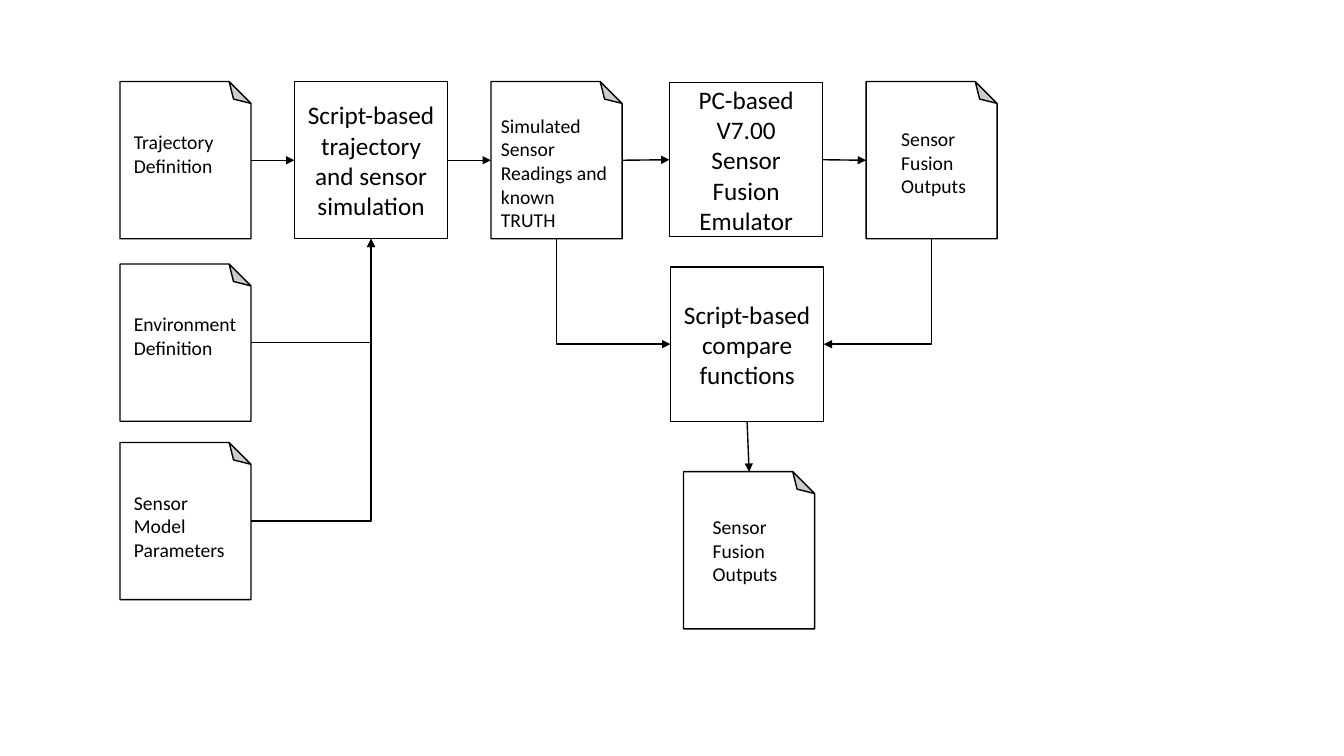
from lxml.etree import SubElement
from pptx import Presentation
from pptx.dml.color import RGBColor
from pptx.enum.shapes import MSO_CONNECTOR as Connector, MSO_SHAPE as Preset
from pptx.enum.text import MSO_ANCHOR as Anchor, MSO_AUTO_SIZE as AutoSize, PP_ALIGN as Align
from pptx.oxml.ns import qn
from pptx.util import Inches, Pt

BLACK = RGBColor(0, 0, 0)
WHITE = RGBColor(255, 255, 255)
FONT = "Calibri"

# The grid has square cells, 75 rows to the slide's height
ROWS = 75
DOCUMENT_SIZE = (13, 15.6)
TOP, BOTTOM, LEFT, RIGHT = 0, 2, 1, 3


def write(text_frame, text, size=14, color=BLACK, align=Align.LEFT):
    text_frame.text = text
    for paragraph in text_frame.paragraphs:
        paragraph.alignment = align
        font = paragraph.font
        font.name, font.size, font.color.rgb = FONT, Pt(size), color


def side_middle(shape, side):
    middle_x, middle_y = shape.left + shape.width // 2, shape.top + shape.height // 2
    return {
        TOP: (middle_x, shape.top),
        LEFT: (shape.left, middle_y),
        BOTTOM: (middle_x, shape.top + shape.height),
        RIGHT: (shape.left + shape.width, middle_y),
    }[side]


class FlowChart:
    def __init__(self, presentation):
        self.cell = presentation.slide_height / ROWS
        self.slide = presentation.slides.add_slide(presentation.slide_layouts[6])

    def place(self, *cells):
        return [round(count * self.cell) for count in cells]

    def outline(self, preset, column, row, columns, rows):
        shape = self.slide.shapes.add_shape(preset, *self.place(column, row, columns, rows))
        shape.shadow.inherit = False
        shape.fill.solid()
        shape.fill.fore_color.rgb = WHITE
        shape.line.color.rgb = BLACK
        shape.line.width = Pt(1)
        return shape

    def process(self, column, row, rows, text):
        shape = self.outline(Preset.RECTANGLE, column, row, 15.2, rows)
        shape.text_frame.word_wrap = True
        shape.text_frame.vertical_anchor = Anchor.MIDDLE
        write(shape.text_frame, text, size=18, align=Align.CENTER)
        return shape

    def document(self, column, row, text, label, wrap=False):
        """label: column and row offset, then width and height of the text."""
        shape = self.outline(Preset.FOLDED_CORNER, column, row, *DOCUMENT_SIZE)
        shape._element.spPr.xfrm.set("flipV", "1")
        right, down, columns, rows = label
        box = self.slide.shapes.add_textbox(
            *self.place(column + right, row + down, columns, rows))
        box.text_frame.word_wrap = wrap
        box.text_frame.auto_size = AutoSize.SHAPE_TO_FIT_TEXT
        write(box.text_frame, text)
        return shape

    def connect(self, kind, source, source_side, target, target_side, arrow_end):
        connector = self.slide.shapes.add_connector(
            kind, *side_middle(source, source_side), *side_middle(target, target_side))
        connector.line.color.rgb = BLACK
        connector.line.width = Pt(1)
        SubElement(connector.line._get_or_add_ln(), qn(f"a:{arrow_end}"), type="triangle")
        SubElement(connector._element.spPr, qn("a:effectLst"))
        return connector

    def arrow(self, source, target, source_side=RIGHT, target_side=LEFT):
        connector = self.connect(
            Connector.STRAIGHT, source, source_side, target, target_side, "tailEnd")
        connector.begin_connect(source, source_side)
        # A flipped document has its top and bottom sites swapped
        if target_side == LEFT:
            connector.end_connect(target, target_side)

    def elbow(self, source, source_side, target, arrow_end):
        """One bend: sideways from the source, then up to the target's bottom."""
        connector = self.connect(
            Connector.ELBOW, source, source_side, target, BOTTOM, arrow_end)
        connector._element.spPr.find(qn("a:prstGeom")).set("prst", "bentConnector2")


def main():
    presentation = Presentation()
    presentation.slide_width, presentation.slide_height = Inches(13.33), Inches(7.5)
    chart = FlowChart(presentation)

    # Input documents
    trajectory, environment, parameters = [
        chart.document(11.9, row, text, (0.4, 4.3, columns, rows))
        for row, text, columns, rows in (
            (8.1, "Trajectory\nDefinition", 10, 5.7),
            (26.2, "Environment\nDefinition", 12.3, 5.7),
            (43.9, "Sensor\nModel\nParameters", 11.1, 8.1),
        )
    ]

    # Main row
    simulation = chart.process(
        29.2, 8.1, 15.6, "Script-based trajectory and sensor simulation")
    readings = chart.document(
        48.7, 8.1, "Simulated\nSensor\nReadings and\nknown\nTRUTH", (0, 2.7, 12.7, 12.8))
    emulator = chart.process(66.4, 8.2, 15.3, "PC-based\nV7.00 Sensor Fusion Emulator")
    fusion_text = "Sensor Fusion Outputs"
    fusion = chart.document(85.9, 8.1, fusion_text, (2.5, 4, 11.8, 8.1), wrap=True)

    # Comparison and its result
    compare = chart.process(66.5, 26.5, 15.3, "Script-based compare functions")
    result = chart.document(67.8, 46.8, fusion_text, (1.9, 3.8, 11.8, 8.1), wrap=True)

    # Straight arrows
    main_row = [trajectory, simulation, readings, emulator, fusion]
    for source, target in zip(main_row, main_row[1:]):
        chart.arrow(source, target)
    chart.arrow(compare, result, BOTTOM, TOP)

    # Bent arrows
    for source in (environment, parameters):
        chart.elbow(source, RIGHT, simulation, "tailEnd")
    for side, source in ((LEFT, readings), (RIGHT, fusion)):
        chart.elbow(compare, side, source, "headEnd")

    presentation.save("out.pptx")


if __name__ == "__main__":
    main()
